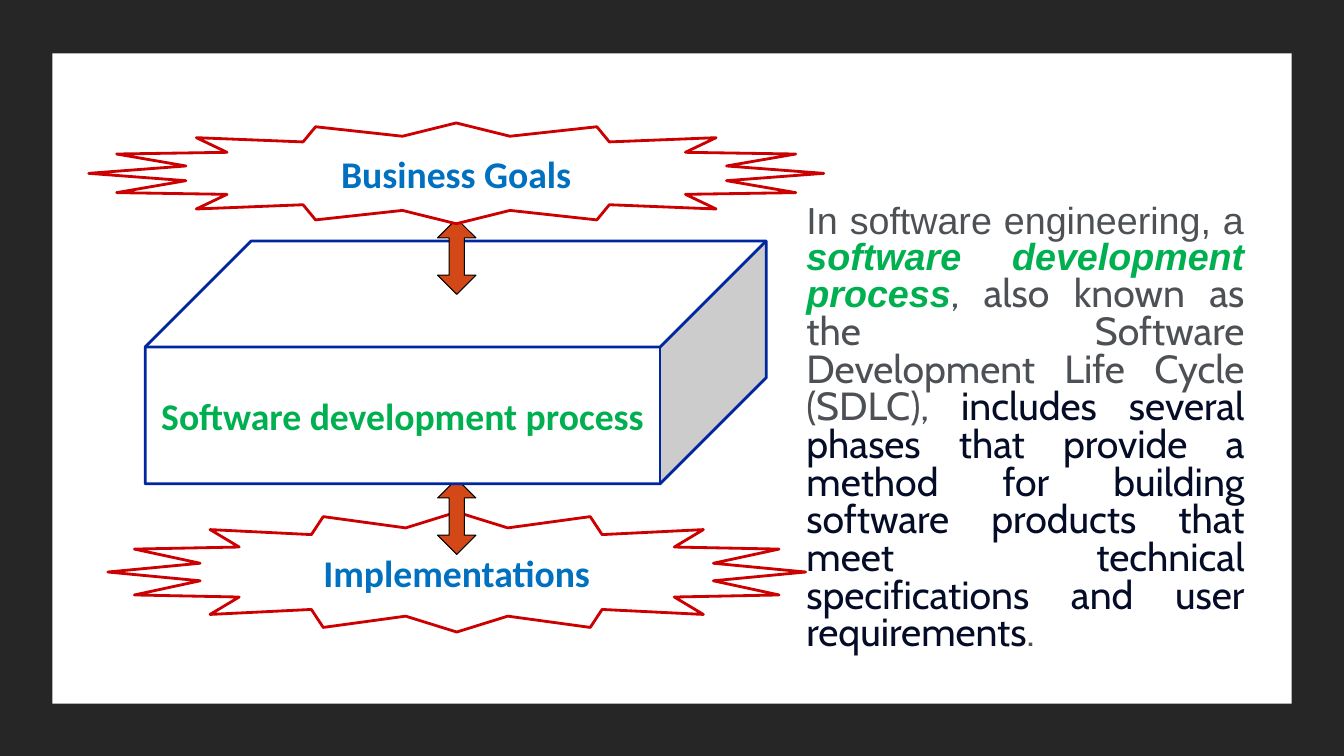
from pptx import Presentation
from pptx.dml.color import RGBColor
from pptx.enum import shapes, text
from pptx.util import Inches, Pt

DARK = RGBColor(0x26, 0x26, 0x26)
WHITE = RGBColor(0xFF, 0xFF, 0xFF)
BLACK = RGBColor(0x00, 0x00, 0x00)
RED = RGBColor(0xCC, 0x00, 0x00)
NAVY = RGBColor(0x00, 0x27, 0x9F)
BLUE = RGBColor(0x00, 0x70, 0xC0)
GREEN = RGBColor(0x00, 0xB0, 0x50)
ORANGE = RGBColor(0xD3, 0x48, 0x17)
GREY = RGBColor(0x4D, 0x51, 0x56)
INK = RGBColor(0x04, 0x0C, 0x28)

SHAPE = shapes.MSO_SHAPE
ARROW_LEFT = 4.34


def add_span(para, wording, font="Calibri", size=26.9, color=BLACK, bold=False, italic=False):
    span = para.add_run()
    span.text = wording
    span.font.name = font
    span.font.size = Pt(size)
    span.font.color.rgb = color
    span.font.bold = bold
    span.font.italic = italic


def add_figure(page, kind, place, fill, line=None, width=2, adjustments=()):
    """Add a flat preset shape; place is left, top, width, height in inches."""
    figure = page.shapes.add_shape(kind, *map(Inches, place))
    figure.shadow.inherit = False
    figure.fill.solid()
    figure.fill.fore_color.rgb = fill
    if line is None:
        figure.line.fill.background()
    else:
        figure.line.color.rgb = line
        figure.line.width = Pt(width)
    for index, value in enumerate(adjustments):
        figure.adjustments[index] = value
    return figure


def add_label(figure, wording, color):
    frame = figure.text_frame
    frame.word_wrap = False
    frame.vertical_anchor = text.MSO_ANCHOR.MIDDLE
    para = frame.paragraphs[0]
    para.alignment = text.PP_ALIGN.CENTER
    para.space_after = Pt(6)
    add_span(para, wording, color=color, bold=True)


def add_star(page, place, wording):
    star = add_figure(page, SHAPE.STAR_16_POINT, place, WHITE, RED, adjustments=[0.375])
    add_label(star, wording, BLUE)


def add_process_cube(page):
    cube = add_figure(page, SHAPE.CUBE, (1.44, 2.39, 6.16, 2.41), WHITE, NAVY,
                      adjustments=[0.437])
    add_label(cube, "Software development process", GREEN)


def add_double_arrow(page, top):
    add_figure(page, SHAPE.UP_DOWN_ARROW, (ARROW_LEFT, top, 0.38, 0.75), ORANGE, BLACK,
               width=0.75, adjustments=[0.5, 0.4])


def add_definition(page):
    box = page.shapes.add_textbox(Inches(7.9), Inches(1.99), Inches(4.54), Inches(3.47))
    box.text_frame.word_wrap = True
    para = box.text_frame.paragraphs[0]
    para.alignment = text.PP_ALIGN.JUSTIFY
    para.line_spacing = 0.8
    add_span(para, "In software engineering, a ", font="Arial", color=GREY)
    add_span(para, "software development process", font="Arial", color=GREEN,
             bold=True, italic=True)
    add_span(para, ", also known as the Software Development Life Cycle (SDLC), ",
             font="Cabin", size=28, color=GREY)
    add_span(para, "includes several phases that provide a method for building software "
             "products that meet technical specifications and user requirements",
             font="Cabin", size=28, color=INK)
    add_span(para, ".", font="Cabin", size=28, color=GREY)


def main():
    deck = Presentation()
    deck.slide_width = Inches(13.33)
    deck.slide_height = Inches(7.5)
    page = deck.slides.add_slide(deck.slide_layouts[6])

    add_figure(page, SHAPE.RECTANGLE, (0, 0, 13.33, 7.5), DARK)
    add_figure(page, SHAPE.RECTANGLE, (0.52, 0.53, 12.29, 6.45), WHITE)
    add_star(page, (1.07, 5.08, 6.92, 1.19), "Implementations")
    add_definition(page)
    add_double_arrow(page, 4.75)
    add_process_cube(page)
    add_double_arrow(page, 2.17)
    add_star(page, (0.88, 1.22, 7.29, 1), "Business Goals")

    deck.save("out.pptx")


if __name__ == "__main__":
    main()
